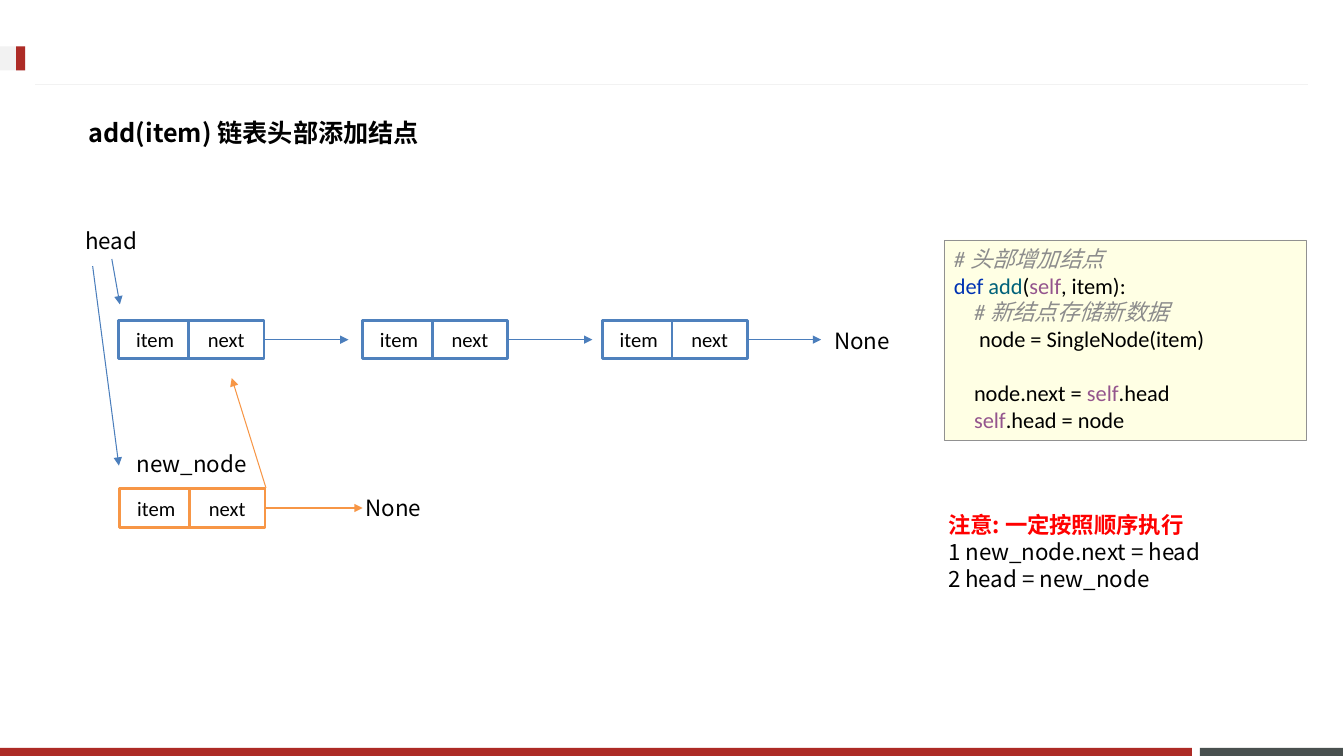
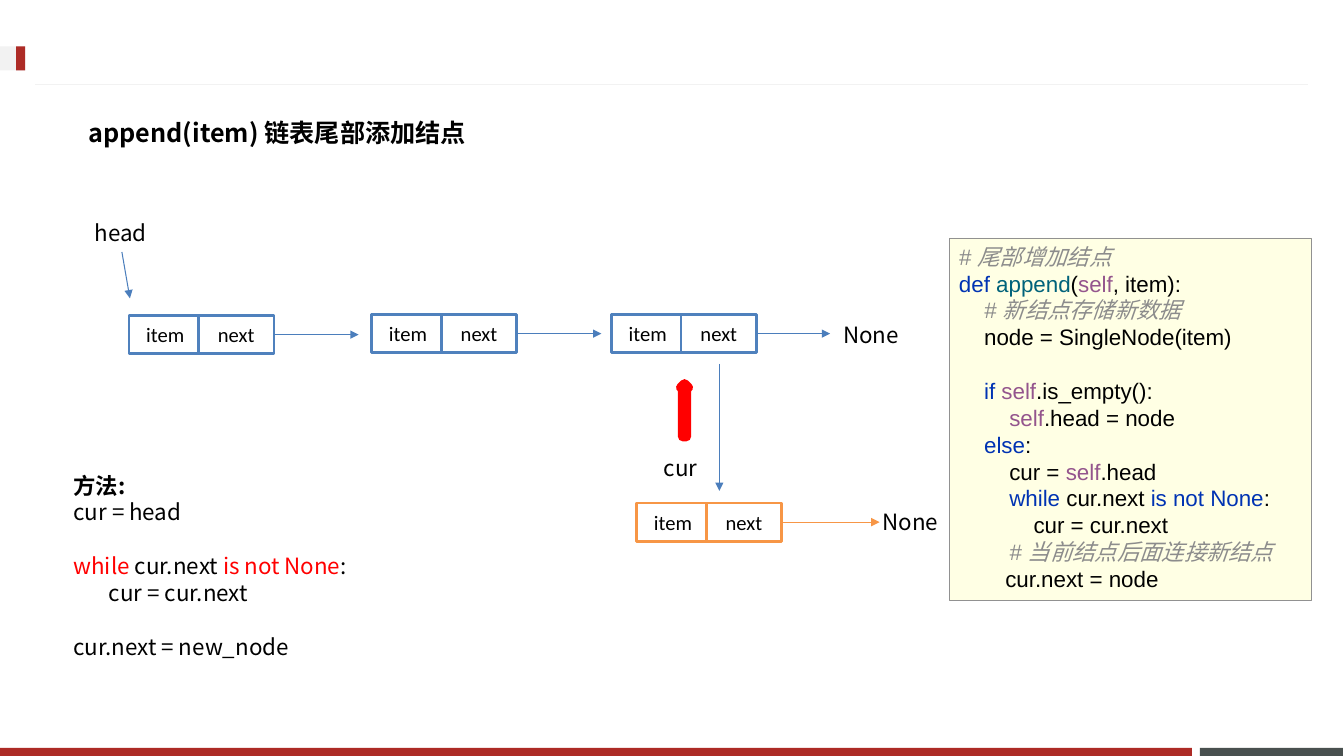
"""Build two slides on adding nodes to a singly linked list."""
from dataclasses import dataclass
from typing import Any, NamedTuple

from lxml import etree
from pptx import Presentation
from pptx import util as u
from pptx.dml import color
from pptx.enum import shapes, text
from pptx.oxml import ns

CJK = "Noto Sans CJK SC"
RED, DARK, PALE, WHITE, BLACK = "AD2B26", "49504F", "F2F2F2", "FFFFFF", "000000"
BLUE, BLUE_ARROW, ORANGE, ALERT = "4F81BD", "4B7EBC", "F79646", "FF0000"
TEXT_SIZE, LEADING = 16, 1.2
ITEM_WIDTH, NEXT_OFFSET, NEXT_WIDTH, NODE_HEIGHT = 0.72, 0.69, 0.75, 0.38
LINK, LAST_LINK, NEW_LINK = 0.84, 0.73, 0.97


class Style(NamedTuple):
    hue: str = BLACK
    bold: bool = False
    italic: bool = False


STYLES = {
    "plain": Style(),
    "strong": Style(bold=True),
    "warning": Style(ALERT, bold=True),
    "alert": Style(ALERT),
    "comment": Style("8C8C8C", italic=True),
    "keyword": Style("0033B3"),
    "function": Style("00627A"),
    "self": Style("94558D"),
}


class Area(NamedTuple):
    left: float
    top: float
    width: float
    height: float


@dataclass(frozen=True)
class Line:
    spans: tuple[tuple[str, str], ...]
    indent: float = 0
    gap: bool = False


@dataclass(frozen=True)
class Node:
    left: float
    top: float
    link: float
    outline: str = BLUE
    arrow: str = BLUE_ARROW


@dataclass(frozen=True)
class Label:
    words: str
    area: Area


@dataclass(frozen=True)
class Arrow:
    start: tuple[float, float]
    end: tuple[float, float]
    hue: str = BLUE_ARROW


@dataclass(frozen=True)
class Lesson:
    title: str
    nodes: tuple[Node, ...]
    labels: tuple[Label, ...]
    arrows: tuple[Arrow, ...]
    steps: tuple[Line, ...]
    steps_area: Area
    code: tuple[Line, ...]
    code_area: Area
    code_font: str


def line(*spans: tuple[str, str], indent: float = 0, gap: bool = False) -> Line:
    """Collect styled spans into one line."""
    return Line(spans, indent, gap)


def plain(words: str, indent: float = 0, gap: bool = False) -> Line:
    """Make a line of plain text."""
    return line((words, "plain"), indent=indent, gap=gap)


def rgb(value: str) -> color.RGBColor:
    """Turn a hex string into a colour."""
    return color.RGBColor.from_string(value)


def assign(target: Any, values: dict[str, Any]) -> None:
    """Set every named attribute on the target."""
    for name, value in values.items():
        setattr(target, name, value)


def place(box: Any, area: Area) -> None:
    """Move and size a box."""
    assign(box, dict(zip(("left", "top", "width", "height"), map(u.Inches, area))))


def write(box: Any, lines: tuple[Line, ...], size: float = TEXT_SIZE, font: str = CJK,
          align: Any = text.PP_ALIGN.LEFT, anchor: Any = text.MSO_ANCHOR.TOP,
          wrap: bool = True) -> None:
    """Write styled lines as paragraphs into a box."""
    frame = box.text_frame
    assign(frame, {"word_wrap": wrap, "auto_size": text.MSO_AUTO_SIZE.NONE,
                   "vertical_anchor": anchor})
    leading = u.Pt(size * LEADING)
    for index, entry in enumerate(lines):
        para = frame.add_paragraph() if index else frame.paragraphs[0]
        assign(para, {"alignment": align, "line_spacing": leading,
                      "space_before": leading if entry.gap else u.Pt(0),
                      "space_after": u.Pt(0)})
        properties = para._p.get_or_add_pPr()
        properties.set("marL", str(int(u.Inches(entry.indent))))
        properties.set("indent", "0")
        etree.SubElement(properties, ns.qn("a:buNone"))
        for words, kind in entry.spans:
            style = STYLES[kind]
            span = para.add_run()
            span.text = words
            assign(span.font, {"name": font, "size": u.Pt(size), "bold": style.bold,
                               "italic": style.italic})
            span.font.color.rgb = rgb(style.hue)
            etree.SubElement(span._r.get_or_add_rPr(), ns.qn("a:ea"), typeface=CJK)


def add_box(page: Any, area: Area, fill: str, outline: str | None = None,
            weight: float = 1, kind: Any = shapes.MSO_SHAPE.RECTANGLE) -> Any:
    """Add a filled shape without a shadow."""
    box = page.shapes.add_shape(kind, *map(u.Inches, area))
    box.shadow.inherit = False
    box.fill.solid()
    box.fill.fore_color.rgb = rgb(fill)
    if outline:
        box.line.color.rgb = rgb(outline)
        box.line.width = u.Pt(weight)
    else:
        box.line.fill.background()
    return box


def add_line(page: Any, arrow: Arrow, head: bool = True) -> Any:
    """Add a thin straight line, with an arrowhead if asked."""
    connector = page.shapes.add_connector(
        shapes.MSO_CONNECTOR.STRAIGHT, *map(u.Inches, arrow.start + arrow.end))
    connector.line.color.rgb = rgb(arrow.hue)
    connector.line.width = u.Pt(0.75)
    properties = connector.element.spPr
    if head:
        etree.SubElement(properties.find(ns.qn("a:ln")), ns.qn("a:tailEnd"), type="triangle")
    etree.SubElement(properties, ns.qn("a:effectLst"))
    return connector


def add_frame(page: Any) -> None:
    """Draw the bands, rule and marker shared by the slides."""
    for area, fill in (
        (Area(11.91, 7.42, 1.42, 0.08), DARK),
        (Area(0, 7.42, 11.83, 0.08), RED),
        (Area(0, 0.46, 0.25, 0.24), PALE),
        (Area(0.16, 0.46, 0.09, 0.24), RED),
    ):
        add_box(page, area, fill)
    add_line(page, Arrow((12.98, 0.84), (0.35, 0.84), PALE), head=False)


def add_node(page: Any, node: Node) -> None:
    """Draw a two-part node and the arrow leaving it."""
    next_left = node.left + NEXT_OFFSET
    cells = (("item", node.left, ITEM_WIDTH), ("next", next_left, NEXT_WIDTH))
    for words, left, width in cells:
        box = add_box(page, Area(left, node.top, width, NODE_HEIGHT), WHITE, node.outline, 2)
        write(box, (plain(words),), 14.7, "Calibri", text.PP_ALIGN.CENTER,
              text.MSO_ANCHOR.MIDDLE)
    right, middle = next_left + NEXT_WIDTH, node.top + NODE_HEIGHT / 2
    connector = add_line(page, Arrow((right, middle), (right + node.link, middle), node.arrow))
    connector.begin_connect(box, 3)


def add_lesson(deck: Any, lesson: Lesson) -> Any:
    """Add one slide with its diagram, steps and code."""
    page = deck.slides.add_slide(deck.slide_layouts[1])
    add_frame(page)
    title, body = page.shapes.title, page.placeholders[1]
    place(title, Area(0.78, 1.03, 11.76, 0.57))
    write(title, (line((lesson.title, "strong")),), 18, anchor=text.MSO_ANCHOR.MIDDLE)
    place(body, lesson.steps_area)
    write(body, lesson.steps, wrap=False)
    for node in lesson.nodes:
        add_node(page, node)
    for label in lesson.labels:
        box = page.shapes.add_textbox(*map(u.Inches, label.area))
        write(box, (plain(label.words),), wrap=False)
    for arrow in lesson.arrows:
        add_line(page, arrow)
    write(add_box(page, lesson.code_area, "FFFFE4", "919191", 0.25), lesson.code,
          font=lesson.code_font)
    return page


ADD = Lesson(
    title="add(item) 链表头部添加结点",
    nodes=(Node(1.18, 3.18, LINK), Node(3.6, 3.18, LINK), Node(5.98, 3.18, LAST_LINK),
           Node(1.19, 4.85, NEW_LINK, ORANGE, ORANGE)),
    labels=(Label("head", Area(0.75, 2.2, 0.74, 0.37)),
            Label("None", Area(8.18, 3.2, 0.79, 0.37)),
            Label("None", Area(3.53, 4.85, 0.79, 0.37)),
            Label("new_node", Area(1.26, 4.42, 1.3, 0.37))),
    arrows=(Arrow((1.11, 2.57), (1.19, 3.02)), Arrow((0.92, 2.64), (1.18, 4.62)),
            Arrow((2.64, 4.84), (2.3, 3.75), ORANGE)),
    steps=(line(("注意: 一定按照顺序执行", "warning")),
           plain("1 new_node.next = head"), plain("2 head = new_node")),
    steps_area=Area(9.31, 5.02, 2.85, 0.91),
    code=(line(("# 头部增加结点", "comment")),
          line(("def ", "keyword"), ("add", "function"), ("(", "plain"), ("self", "self"),
               (", item):", "plain")),
          line(("# 新结点存储新数据", "comment"), indent=0.2),
          plain("node = SingleNode(item)", 0.25),
          line(("node.next = ", "plain"), ("self", "self"), (".head", "plain"),
               indent=0.2, gap=True),
          line(("self", "self"), (".head = node", "plain"), indent=0.2)),
    code_area=Area(9.37, 2.38, 3.6, 1.99),
    code_font="Calibri",
)

APPEND = Lesson(
    title="append(item) 链表尾部添加结点",
    nodes=(Node(1.28, 3.13, LINK), Node(3.69, 3.12, LINK), Node(6.07, 3.12, LAST_LINK),
           Node(6.32, 4.99, NEW_LINK, ORANGE, ORANGE)),
    labels=(Label("head", Area(0.84, 2.13, 0.74, 0.37)),
            Label("None", Area(8.27, 3.14, 0.79, 0.37)),
            Label("cur", Area(6.49, 4.46, 0.54, 0.37)),
            Label("None", Area(8.66, 4.99, 0.79, 0.37))),
    arrows=(Arrow((1.21, 2.5), (1.29, 2.96)), Arrow((7.14, 3.61), (7.14, 4.87))),
    steps=(line(("方法:", "strong")), plain("cur = head"),
           line(("while ", "alert"), ("cur.next ", "plain"), ("is not None", "alert"),
                (":", "plain"), gap=True),
           plain("cur = cur.next", 0.35), plain("cur.next = new_node", gap=True)),
    steps_area=Area(0.63, 4.63, 3.04, 2.26),
    code=(line(("# 尾部增加结点", "comment")),
          line(("def ", "keyword"), ("append", "function"), ("(", "plain"), ("self", "self"),
               (", item):", "plain")),
          line(("# 新结点存储新数据", "comment"), indent=0.25),
          plain("node = SingleNode(item)", 0.25),
          line(("if ", "keyword"), ("self", "self"), (".is_empty():", "plain"),
               indent=0.25, gap=True),
          line(("self", "self"), (".head = node", "plain"), indent=0.5),
          line(("else", "keyword"), (":", "plain"), indent=0.25),
          line(("cur = ", "plain"), ("self", "self"), (".head", "plain"), indent=0.5),
          line(("while ", "keyword"), ("cur.next ", "plain"), ("is not None", "keyword"),
               (":", "plain"), indent=0.5),
          plain("cur = cur.next", 0.74),
          line(("# 当前结点后面连接新结点", "comment"), indent=0.5),
          plain("cur.next = node", 0.46)),
    code_area=Area(9.42, 2.36, 3.6, 3.6),
    code_font="Arial",
)


def main() -> None:
    """Build and save the deck."""
    deck = Presentation()
    assign(deck, {"slide_width": u.Inches(13.34), "slide_height": u.Inches(7.5)})
    add_lesson(deck, ADD)
    page = add_lesson(deck, APPEND)
    add_box(page, Area(6.76, 3.81, 0.07, 0.52), ALERT, ALERT, 7, shapes.MSO_SHAPE.UP_ARROW)
    deck.save("out.pptx")


if __name__ == "__main__":
    main()
